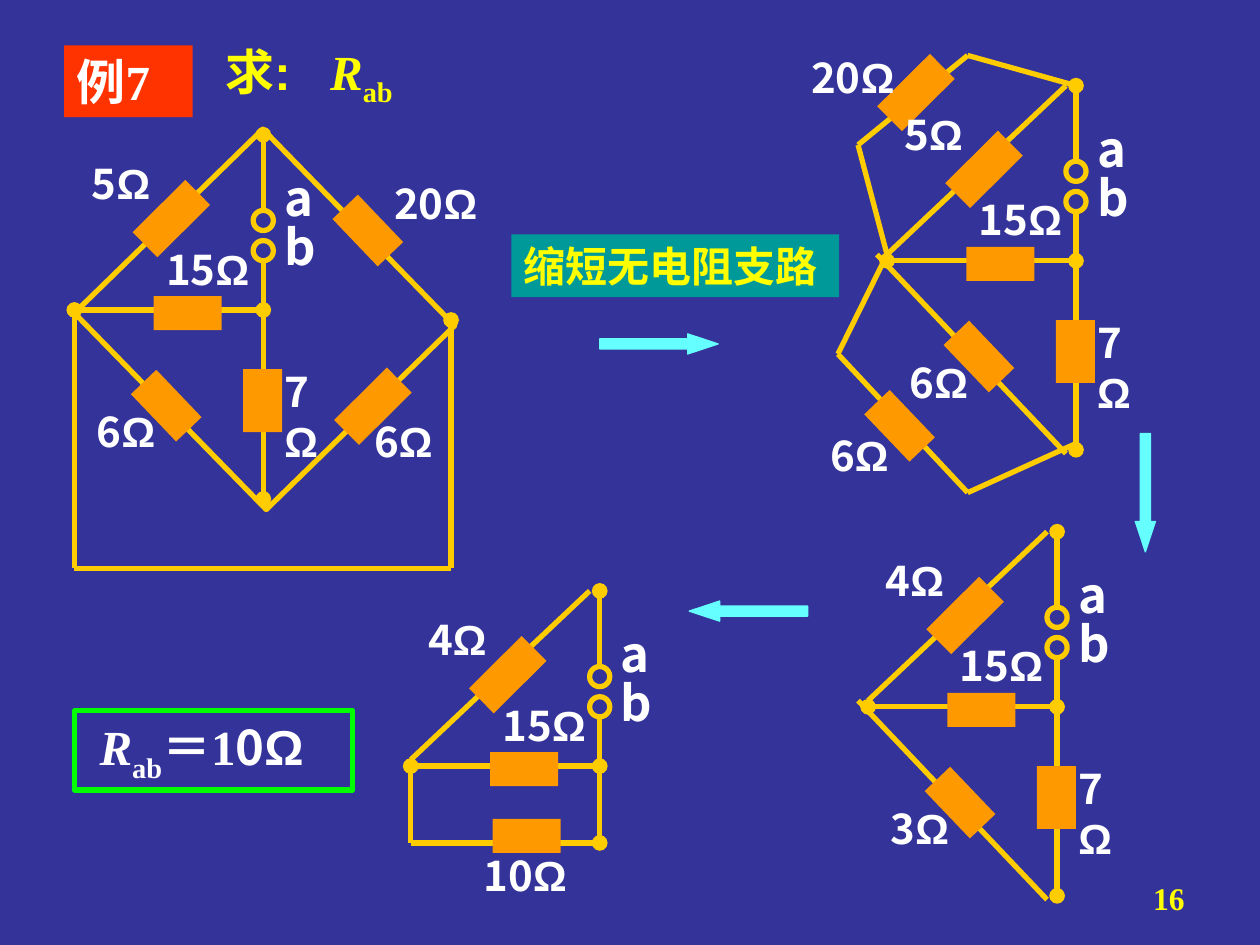
from dataclasses import dataclass
from itertools import pairwise

from lxml import etree
from pptx import Presentation
from pptx.dml.color import RGBColor
from pptx.enum.shapes import MSO_CONNECTOR, MSO_SHAPE
from pptx.enum.text import MSO_ANCHOR, MSO_AUTO_SIZE, PP_ALIGN
from pptx.oxml.ns import qn
from pptx.util import Inches, Pt

RECTANGLE, OVAL, ARROW = MSO_SHAPE.RECTANGLE, MSO_SHAPE.OVAL, MSO_SHAPE.RIGHT_ARROW
STRAIGHT = MSO_CONNECTOR.STRAIGHT
LEFT, RIGHT = PP_ALIGN.LEFT, PP_ALIGN.RIGHT
TOP = MSO_ANCHOR.TOP
NO_FIT = MSO_AUTO_SIZE.NONE
CELL = Inches(10) // 100  # the slide is a grid of 100 columns by 75 rows


@dataclass(frozen=True)
class Theme:
    background: str = "333399"
    wire: str = "FFCC00"
    resistor: str = "FF9900"
    arrow: str = "66FFFF"
    badge: str = "FF3300"
    note: str = "009999"
    frame: str = "00FF00"
    text: str = "FFFFFF"
    accent: str = "FFFF00"
    large: int = 28
    medium: int = 24
    small: int = 18
    sans: str = "Arial"
    serif: str = "Times New Roman"
    chinese: str = "Noto Sans CJK SC"
    stroke: float = 3


@dataclass(frozen=True)
class Wire:
    points: tuple
    head: bool = False
    tail: bool = False


@dataclass(frozen=True)
class Resistor:
    left: float
    top: float
    width: float
    height: float
    rotation: float = 0


@dataclass(frozen=True)
class Label:
    text: str
    left: float
    top: float
    width: float
    height: float = 5


@dataclass(frozen=True)
class Circuit:
    """Parts are placed relative to the top node of the circuit."""
    column: float
    row: float
    trunk_end: float
    first_value: str
    wires: tuple
    resistors: tuple
    labels: tuple
    has_diamond: bool = False


THEME = Theme()


def rising(left: float, top: float) -> Resistor:
    return Resistor(left, top, 2.8, 5.9, 45.2)


def falling(left: float, top: float) -> Resistor:
    return Resistor(left, top, 2.8, 5.2, 316.3)


def level(left: float, top: float) -> Resistor:
    return Resistor(left, top, 5.4, 2.7)


def cells(*values: float) -> list:
    return [round(value * CELL) for value in values]


def add_run(paragraph, text: str, *, size: float = THEME.large, color: str = THEME.text,
            font: str = THEME.serif, italic: bool = False, subscript: bool = False) -> None:
    run = paragraph.add_run()
    run.text = text
    run.font.size, run.font.bold, run.font.italic = Pt(size), True, italic
    run.font.color.rgb = RGBColor.from_string(color)
    run.font.name = font
    properties = run._r.get_or_add_rPr()
    if subscript:
        properties.set("baseline", "-25000")
    etree.SubElement(properties, qn("a:ea")).set("typeface", THEME.chinese)


def text_start(shape, align=LEFT, wrap: bool = True):
    """Prepare the text frame and return its first paragraph."""
    frame = shape.text_frame
    frame.word_wrap, frame.auto_size, frame.vertical_anchor = wrap, NO_FIT, TOP
    paragraph = frame.paragraphs[0]
    paragraph.alignment = align
    return paragraph


def add_figure(shapes, kind, left: float, top: float, width: float, height: float, *,
               fill: str = "", line: str = "", stroke: float = THEME.stroke, rotation: float = 0):
    shape = shapes.add_shape(kind, *cells(left, top, width, height))
    shape.shadow.inherit = False
    shape.rotation = rotation
    if fill:
        shape.fill.solid()
        shape.fill.fore_color.rgb = RGBColor.from_string(fill)
    else:
        shape.fill.background()
    if line:
        shape.line.color.rgb = RGBColor.from_string(line)
        shape.line.width = Pt(stroke)
    else:
        shape.line.fill.background()
    return shape


def add_wire(shapes, wire: Wire, column: float, row: float) -> None:
    for (x1, y1), (x2, y2) in pairwise(wire.points):
        connector = shapes.add_connector(
            STRAIGHT, *cells(column + x1, row + y1, column + x2, row + y2))
        connector.line.color.rgb = RGBColor.from_string(THEME.wire)
        connector.line.width = Pt(THEME.stroke)
        for end, dotted in (("a:headEnd", wire.head), ("a:tailEnd", wire.tail)):
            if dotted:
                etree.SubElement(connector.line._get_or_add_ln(), qn(end)).set("type", "oval")
        etree.SubElement(connector._element.spPr, qn("a:effectLst"))


def add_label(shapes, label: Label, column: float, row: float) -> None:
    box = shapes.add_textbox(*cells(column + label.left, row + label.top, label.width, label.height))
    paragraph = text_start(box)
    value = label.text.removesuffix("Ω")
    has_unit = value != label.text
    add_run(paragraph, value, size=THEME.medium if has_unit else THEME.large, font=THEME.chinese)
    if has_unit:
        add_run(paragraph, "Ω", size=THEME.medium, font=THEME.sans)


def add_circuit(slide, circuit: Circuit) -> None:
    shapes = slide.shapes.add_group_shape().shapes
    column, row = circuit.column, circuit.row
    if circuit.has_diamond:
        add_figure(shapes, RECTANGLE, column - 10.8, row + 4.2, 21.8, 20.9,
                   line=THEME.wire, rotation=45.7)
    for top in (6, 8.4):
        add_figure(shapes, OVAL, column - 0.8, row + top, 1.6, 1.6, line=THEME.wire)
    wires = (Wire(((0, 0), (0, 6)), head=True),
             Wire(((0, 10), (0, circuit.trunk_end)), tail=True),
             Wire(((-15, 13.9), (0, 13.9)), head=True, tail=True))
    for wire in wires + circuit.wires:
        add_wire(shapes, wire, column, row)
    for part in (rising(-8.7, 3.7), level(-8.7, 12.8)) + circuit.resistors:
        add_figure(shapes, RECTANGLE, column + part.left, row + part.top, part.width,
                   part.height, fill=THEME.resistor, rotation=part.rotation)
    labels = (Label("a", 0.7, 2.1, 3.9, 5.7), Label("b", 0.7, 6, 3.9, 5.7),
              Label("15Ω", -8.7, 8.1, 9.4), Label(circuit.first_value, -14.6, 1.3, 6.7))
    for label in labels + circuit.labels:
        add_label(shapes, label, column, row)


UPPER = Wire(((-15, 13.4), (-0.8, 0)))
LOWER = Wire(((-15.8, 13.4), (-0.8, 29.2)))
LOWER_RESISTORS = (falling(-9.1, 18.9), Resistor(-1.6, 18.6, 3.1, 5))
SEVEN = Label("7Ω", 0.7, 17.8, 6.3, 9)
SIX = Label("6Ω", -14.2, 21, 7.9)

CIRCUITS = (
    Circuit(20.9, 10.7, 28.9, "5Ω",
            (Wire(((-15, 13.9), (-15, 34.4), (14.9, 34.4))),
             Wire(((14.9, 14.7), (14.9, 34.4)), head=True)),
            LOWER_RESISTORS + (falling(6.9, 5), rising(7.3, 18.6)),
            (SEVEN, SIX, Label("20Ω", 9.4, 2.9, 8.6), Label("6Ω", 7.8, 21.8, 7.1)),
            has_diamond=True),
    Circuit(83.9, 42.2, 28.9, "4Ω", (UPPER, LOWER), LOWER_RESISTORS,
            (SEVEN, Label("3Ω", -14.2, 21, 7.9))),
    Circuit(85.4, 6.8, 28.9, "5Ω",
            (UPPER, LOWER,
             Wire(((-15, 13.4), (-17.3, 4.7), (-8.6, -2.4), (0, 0))),
             Wire(((-15, 13.4), (-18.9, 21.3), (-8.6, 32.3), (0, 28.4)))),
            LOWER_RESISTORS + (falling(-15.4, 24.4), rising(-14.1, -2.4)),
            (SEVEN, SIX, Label("20Ω", -22, -3.2, 8.6), Label("6Ω", -20.5, 26.8, 7.1))),
    Circuit(47.6, 46.9, 20, "4Ω", (UPPER, Wire(((-15, 13.4), (-15, 20), (0, 20)))),
            (level(-8.5, 18.1),), (Label("10Ω", -10.2, 20, 11),)),
)


def main() -> None:
    presentation = Presentation()
    presentation.slide_width, presentation.slide_height = 100 * CELL, 75 * CELL
    slide = presentation.slides.add_slide(presentation.slide_layouts[5])
    slide.background.fill.solid()
    slide.background.fill.fore_color.rgb = RGBColor.from_string(THEME.background)

    title = slide.shapes.title
    title.left, title.top, title.width, title.height = cells(16.9, 2.8, 16.5, 6.3)
    paragraph = text_start(title)
    tabs = etree.SubElement(paragraph._p.get_or_add_pPr(), qn("a:tabLst"))
    etree.SubElement(tabs, qn("a:tab"), pos=str(cells(8.3)[0]), algn="l")
    add_run(paragraph, "求:\t", color=THEME.accent, font=THEME.sans)
    add_run(paragraph, "R", color=THEME.accent, italic=True)
    add_run(paragraph, "ab", color=THEME.accent, subscript=True)

    badge = add_figure(slide.shapes, RECTANGLE, 5.1, 3.6, 10.2, 5.7, fill=THEME.badge)
    add_run(text_start(badge), "例7")

    for circuit in CIRCUITS:
        add_circuit(slide, circuit)
    for left, top, rotation in ((47.6, 26.5, 0), (86.2, 38.3, 90), (54.7, 47.7, 180)):
        arrow = add_figure(slide.shapes, ARROW, left, top, 9.4, 1.6, fill=THEME.arrow,
                           line=THEME.arrow, stroke=0.75, rotation=rotation)
        arrow.adjustments[1] = 1.51

    answer = add_figure(slide.shapes, RECTANGLE, 5.9, 56.4, 22.1, 6.3, line=THEME.frame)
    paragraph = text_start(answer, wrap=False)
    answer.text_frame.margin_left = cells(2)[0]
    add_run(paragraph, "R", italic=True)
    add_run(paragraph, "ab", subscript=True)
    add_run(paragraph, "＝1")
    add_run(paragraph, "0", font=THEME.chinese)
    add_run(paragraph, "Ω", font=THEME.sans)

    note = add_figure(slide.shapes, RECTANGLE, 40.6, 18.6, 26, 5, fill=THEME.note)
    add_run(text_start(note), "缩短无电阻支路", size=THEME.medium, color=THEME.accent, font=THEME.sans)

    number = slide.shapes.add_textbox(*cells(71.7, 69.3, 23.3, 5.2))
    add_run(text_start(number, RIGHT), "16", size=THEME.small, color=THEME.accent)
    presentation.save("out.pptx")


if __name__ == "__main__":
    main()
